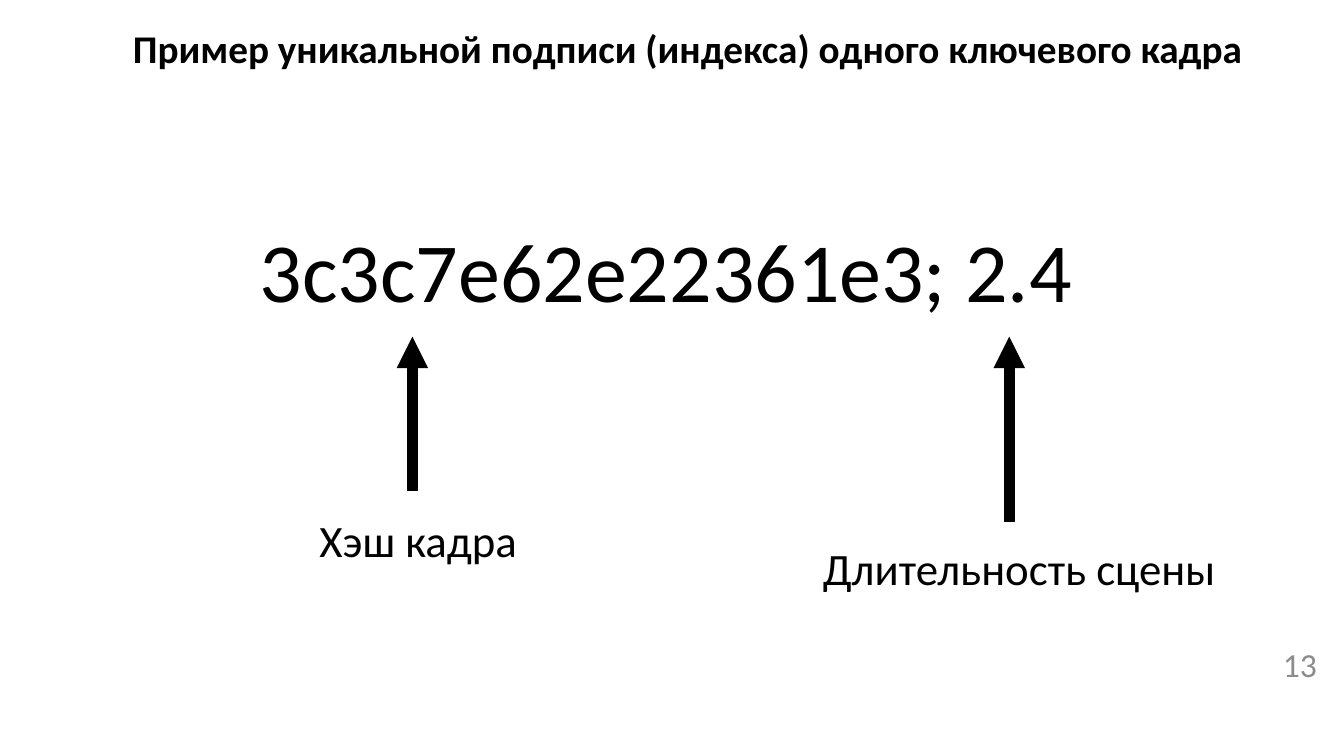
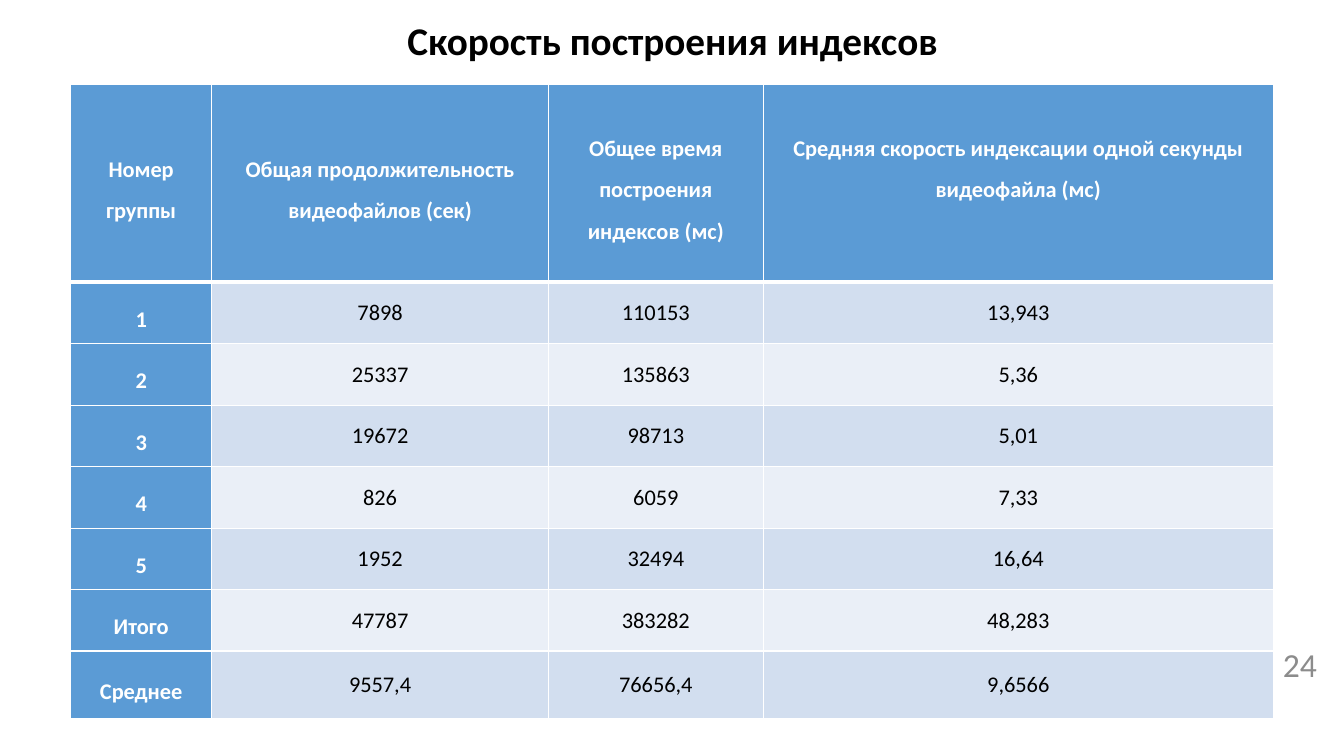
"""Builds two slides on key frame signatures and indexing speed."""
from lxml.etree import SubElement
from pptx import Presentation
from pptx.dml.color import RGBColor
from pptx.enum.shapes import MSO_CONNECTOR as Connector
from pptx.enum.text import MSO_ANCHOR as Anchor, PP_ALIGN as Align
from pptx.oxml.ns import qn
from pptx.util import Inches, Pt

FONT = "Calibri"
COLORS = {
    "text": "000000",
    "page_number": "8C8C8C",
    "white": "FFFFFF",
    "header": "5B9BD5",
    "band_dark": "D2DEEF",
    "band_light": "EAEFF7",
}
COLUMN_WIDTHS = [1.4, 3.34, 2.13, 5.06]
ROW_HEIGHTS = [1.96] + [0.61] * 6 + [0.67]
HEADERS = [
    "Номер группы",
    "Общая продолжительность видеофайлов (сек)",
    "Общее время\nпостроения индексов (мс)",
    "Средняя скорость индексации одной секунды видеофайла (мс)",
]
ROWS = [
    ["1", "7898", "110153", "13,943"],
    ["2", "25337", "135863", "5,36"],
    ["3", "19672", "98713", "5,01"],
    ["4", "826", "6059", "7,33"],
    ["5", "1952", "32494", "16,64"],
    ["Итого", "47787", "383282", "48,283"],
    ["Среднее", "9557,4", "76656,4", "9,6566"],
]


def color(name):
    """Return a palette colour."""
    return RGBColor.from_string(COLORS[name])


def write_text(frame, text, size=16, fill="text", bold=False,
               align=Align.LEFT, spacing=1.0, before=0):
    """Write one paragraph per line of text in the given format."""
    for index, line in enumerate(text.split("\n")):
        paragraph = frame.add_paragraph() if index else frame.paragraphs[0]
        paragraph.alignment = align
        paragraph.line_spacing = spacing
        paragraph.space_before = Pt(before)
        run = paragraph.add_run()
        run.text = line
        run.font.name = FONT
        run.font.size = Pt(size)
        run.font.bold = bold
        run.font.color.rgb = color(fill)


def add_text(slide, box, text, anchor=Anchor.TOP, **text_format):
    """Add a wrapping text box at left, top, width, height."""
    frame = slide.shapes.add_textbox(*map(Inches, box)).text_frame
    frame.word_wrap = True
    frame.vertical_anchor = anchor
    write_text(frame, text, **text_format)


def add_content_slide(presentation, title, title_box, number):
    """Add a blank slide with its page number and title."""
    slide = presentation.slides.add_slide(presentation.slide_layouts[6])
    add_text(slide, (10.16, 6.39, 3, 0.4), number, anchor=Anchor.MIDDLE,
             size=24, fill="page_number", align=Align.RIGHT)
    add_text(slide, title_box, title, anchor=Anchor.MIDDLE,
             size=28, bold=True, align=Align.CENTER, spacing=0.9)
    return slide


def add_up_arrow(slide, x, bottom, top):
    """Add a thick vertical arrow pointing up."""
    arrow = slide.shapes.add_connector(
        Connector.STRAIGHT, Inches(x), Inches(bottom), Inches(x), Inches(top))
    arrow.line.width = Pt(7.5)
    arrow.line.color.rgb = color("text")
    SubElement(arrow.line._get_or_add_ln(), qn("a:tailEnd"), type="triangle")
    SubElement(arrow._element.spPr, qn("a:effectLst"))


def set_borders(cell, top, bottom):
    """Draw white cell borders; top and bottom widths are in points."""
    properties = cell._tc.get_or_add_tcPr()
    for side, width in (("L", 1), ("R", 1), ("T", top), ("B", bottom)):
        line = SubElement(properties, qn(f"a:ln{side}"), w=str(Pt(width)))
        fill = SubElement(line, qn("a:solidFill"))
        SubElement(fill, qn("a:srgbClr"), val=COLORS["white"])


def format_cell(cell, text, row, column):
    """Fill a cell and style it by its place in the table."""
    is_heading = row == 0 or column == 0
    set_borders(cell, top=3 if row == 1 else 1, bottom=3 if row == 0 else 1)
    band = "band_dark" if row % 2 else "band_light"
    cell.fill.solid()
    cell.fill.fore_color.rgb = color("header" if is_heading else band)
    cell.vertical_anchor = Anchor.MIDDLE
    cell.margin_left = cell.margin_right = Inches(0.07)
    cell.margin_top = 0
    cell.margin_bottom = Inches(0.41 if (row, column) == (0, 3) else 0)
    write_text(cell.text_frame, text, bold=is_heading, align=Align.CENTER,
               fill="white" if is_heading else "text",
               spacing=1.5 if is_heading else 1.0)


def add_speed_table(slide, left, top):
    """Add the table of indexing speeds."""
    table = slide.shapes.add_table(
        len(ROW_HEIGHTS), len(COLUMN_WIDTHS), Inches(left), Inches(top),
        Inches(sum(COLUMN_WIDTHS)), Inches(sum(ROW_HEIGHTS))).table
    table.first_row = table.horz_banding = False
    for column, width in zip(table.columns, COLUMN_WIDTHS):
        column.width = Inches(width)
    for row, height in zip(table.rows, ROW_HEIGHTS):
        row.height = Inches(height)
    for row, texts in enumerate([HEADERS] + ROWS):
        for column, text in enumerate(texts):
            format_cell(table.cell(row, column), text, row, column)


def build_signature_slide(presentation):
    """Show a key frame signature and name its two parts."""
    slide = add_content_slide(
        presentation,
        "Пример уникальной подписи (индекса) одного ключевого кадра",
        (0.82, -0.22, 11.99, 1.45), "13")
    body = {"spacing": 0.9, "before": 10}
    add_text(slide, (2.48, 2.23, 8.67, 3.04), "3c3c7e62e22361e3; 2.4",
             size=60, **body)
    add_up_arrow(slide, 4.09, 4.87, 3.34)
    add_up_arrow(slide, 10.01, 5.18, 3.34)
    add_text(slide, (3.07, 5.1, 2.94, 1), "Хэш кадра", size=32, **body)
    add_text(slide, (7.66, 5.38, 4.9, 1.75), "Длительность сцены",
             size=32, align=Align.CENTER, **body)


def build_speed_slide(presentation):
    """Show how fast the indexes are built."""
    slide = add_content_slide(presentation, "Скорость построения индексов",
                              (0.92, -0.3, 11.5, 1.45), "24")
    add_speed_table(slide, 0.7, 0.84)


def main():
    """Build and save the presentation."""
    presentation = Presentation()
    presentation.slide_width = Inches(13.33)
    presentation.slide_height = Inches(7.5)
    build_signature_slide(presentation)
    build_speed_slide(presentation)
    presentation.save("out.pptx")


if __name__ == "__main__":
    main()
